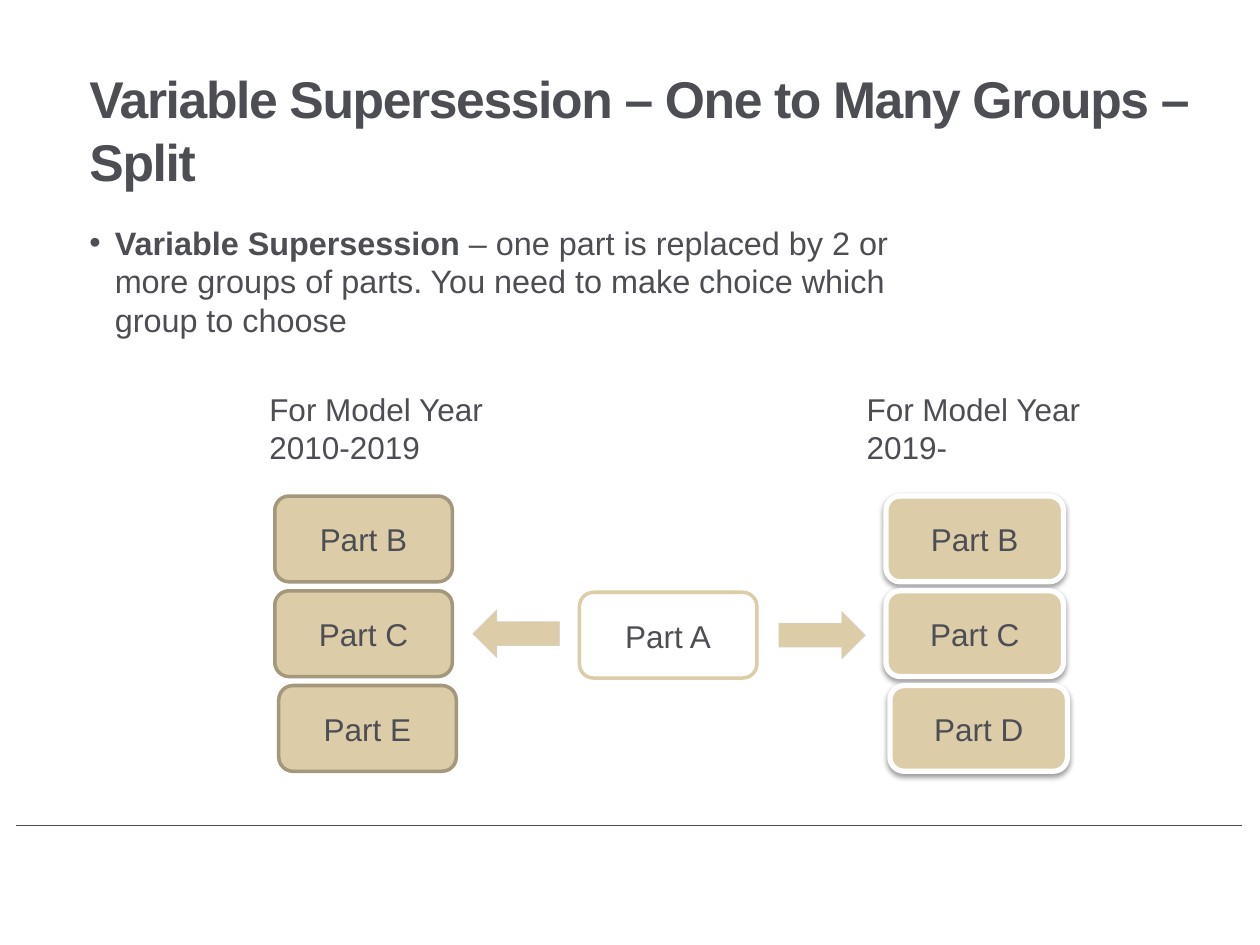
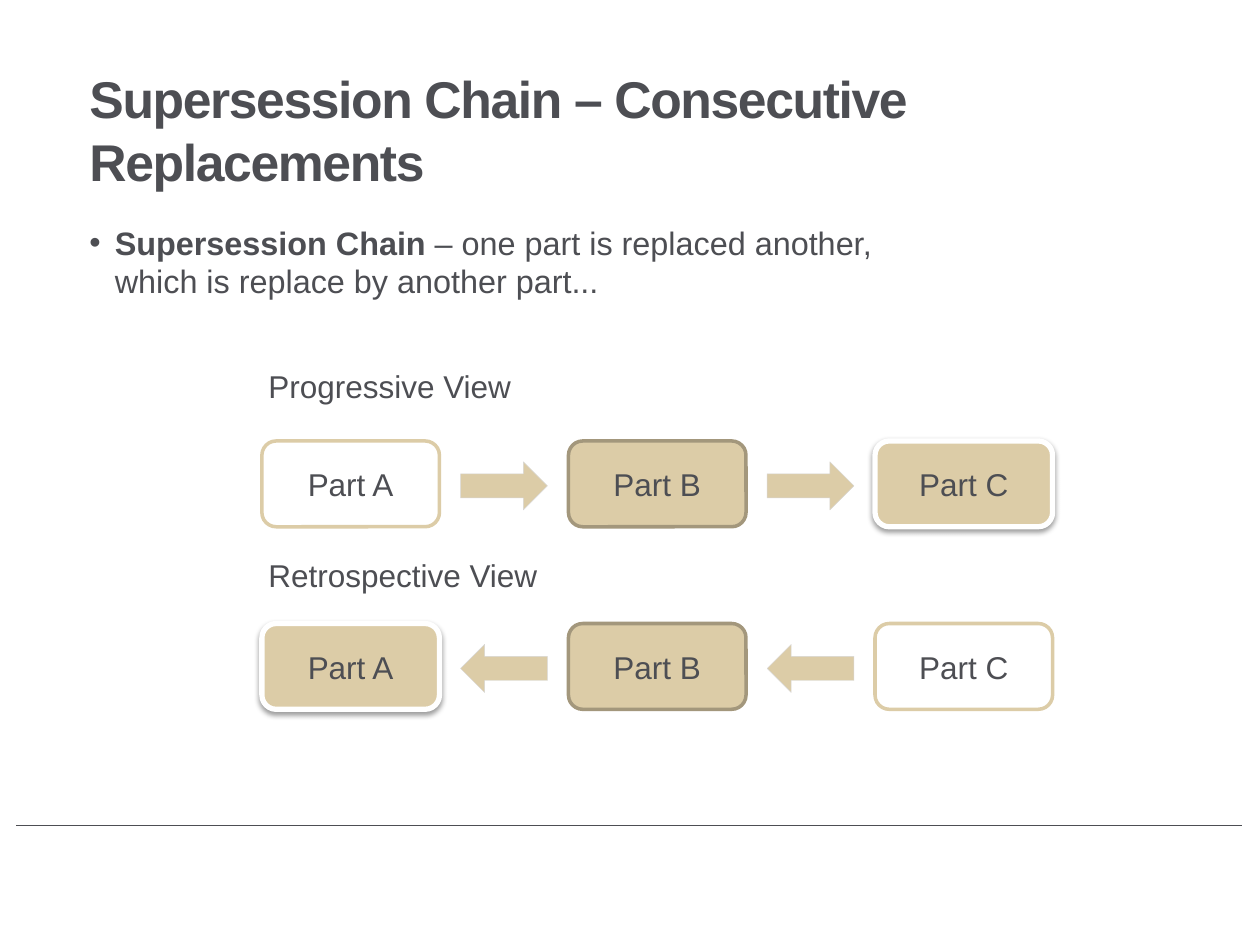
from lxml.etree import SubElement
from pptx import Presentation
from pptx.dml.color import RGBColor
from pptx.enum.shapes import MSO_CONNECTOR as Connector, MSO_SHAPE as Preset
from pptx.enum.text import MSO_ANCHOR as Anchor, MSO_AUTO_SIZE as AutoSize, PP_ALIGN as Align
from pptx.oxml.ns import qn
from pptx.util import Cm, Pt

INK, SAND, EDGE, WHITE, GREY = "4D4E53", "DCCCA7", "A3977C", "FFFFFF", "D8D7D5"
BOX_STYLES = {
    "start": {"fill": WHITE, "line": SAND, "weight": 2},
    "middle": {"fill": SAND, "line": EDGE, "weight": 2},
    "end": {"fill": SAND, "line": WHITE, "weight": 3, "shadow": True},
}
BOX_WIDTH, BOX_HEIGHT = 3.58, 1.73
ARROW_WIDTH, ARROW_HEIGHT = 1.75, 0.97

SPLIT = {
    "title": "Variable Supersession – One to Many Groups – Split",
    "term": "Variable Supersession ",
    "meaning": "– one part is replaced by 2 or more groups of parts. "
               "You need to make choice which group to choose",
    "source": "Part A",
    "groups": [
        {"years": ["For Model Year", "2010-2019"], "parts": ["Part B", "Part C", "Part E"],
         "style": "middle", "left": 5.54, "label_left": 5.18, "arrow": (9.53, 12.29, 180)},
        {"years": ["For Model Year", "2019-"], "parts": ["Part B", "Part C", "Part D"],
         "style": "end", "left": 17.86, "label_left": 17.22, "arrow": (15.7, 12.32, 0)},
    ],
}
CHAIN = {
    "title": "Supersession Chain – Consecutive Replacements",
    "term": "Supersession Chain ",
    "meaning": "– one part is replaced another, which is replace by another part...",
    "parts": ["Part A", "Part B", "Part C"],
    "views": [
        {"name": "Progressive View", "styles": ["start", "middle", "end"],
         "label_top": 7.26, "top": 8.89, "rotation": 0},
        {"name": "Retrospective View", "styles": ["end", "middle", "start"],
         "label_top": 11.07, "top": 12.57, "rotation": 180},
    ],
}


def color(value):
    return RGBColor.from_string(value)


def write(frame, paragraphs, size=18, leading=22, align=Align.LEFT, anchor=Anchor.TOP,
          wrap=True, before=0, spacing=None):
    """Fill a text frame with paragraphs, each a list of (text, bold) runs."""
    frame.auto_size = AutoSize.NONE
    frame.word_wrap = wrap
    frame.vertical_anchor = anchor
    for index, runs in enumerate(paragraphs):
        paragraph = frame.add_paragraph() if index else frame.paragraphs[0]
        paragraph.alignment = align
        paragraph.line_spacing = Pt(leading)
        paragraph.space_before = Pt(before)
        for text, bold in runs:
            run = paragraph.add_run()
            run.text = text
            run.font.name = "Arial"
            run.font.size = Pt(size)
            run.font.bold = bold
            run.font.color.rgb = color(INK)
            if spacing is not None:
                run.font._element.set("spc", str(round(spacing * 100)))


def place(shape, left, top, width, height):
    shape.left, shape.top, shape.width, shape.height = map(Cm, (left, top, width, height))


def add_bullet(paragraph):
    properties = paragraph._p.get_or_add_pPr()
    properties.set("marL", str(Cm(0.51)))
    properties.set("indent", str(Cm(-0.51)))
    SubElement(SubElement(properties, qn("a:buClr")), qn("a:srgbClr"), val=INK)
    SubElement(properties, qn("a:buFont"), typeface="Arial")
    SubElement(properties, qn("a:buChar"), char="•")


def add_shadow(shape):
    effects = shape._element.spPr.find(qn("a:effectLst"))
    shadow = SubElement(effects, qn("a:outerShdw"), blurRad=str(Pt(3.1)), dist=str(Pt(1.6)),
                        dir="5400000", rotWithShape="0")
    tint = SubElement(shadow, qn("a:srgbClr"), val="000000")
    SubElement(tint, qn("a:alpha"), val="38000")


def add_preset(slide, preset, area, fill, line, weight, shadow=False):
    shape = slide.shapes.add_shape(preset, *map(Cm, area))
    shape.shadow.inherit = False
    shape.fill.solid()
    shape.fill.fore_color.rgb = color(fill)
    shape.line.color.rgb = color(line)
    shape.line.width = Pt(weight)
    if shadow:
        add_shadow(shape)
    return shape


def add_part(slide, name, style, left, top):
    shape = add_preset(slide, Preset.ROUNDED_RECTANGLE, (left, top, BOX_WIDTH, BOX_HEIGHT),
                       **BOX_STYLES[style])
    write(shape.text_frame, [[(name, False)]], align=Align.CENTER, anchor=Anchor.MIDDLE)


def add_arrow(slide, left, top, rotation):
    arrow = add_preset(slide, Preset.RIGHT_ARROW, (left, top, ARROW_WIDTH, ARROW_HEIGHT),
                       SAND, GREY, 0.25)
    arrow.rotation = rotation


def add_label(slide, lines, left, top, width, height, wrap=True):
    label = slide.shapes.add_textbox(*map(Cm, (left, top, width, height)))
    write(label.text_frame, [[(line, False)] for line in lines], wrap=wrap)


def add_base(presentation, content):
    """Add a slide with the footer rule, the title and the definition."""
    slide = presentation.slides.add_slide(presentation.slide_layouts[1])
    rule = slide.shapes.add_connector(Connector.STRAIGHT, Cm(0.33), Cm(16.64), Cm(25.04), Cm(16.64))
    rule.line.color.rgb = color(INK)
    rule.line.width = Pt(1)
    SubElement(rule._element.spPr, qn("a:effectLst"))
    title, body = slide.shapes.title, slide.placeholders[1]
    place(title, 1.55, 1.12, 22.86, 3.18)
    title.text_frame.margin_top = Cm(0.2)
    write(title.text_frame, [[(content["title"], True)]], size=29.5, leading=36, spacing=-0.8)
    place(body, 1.55, 4.37, 17.02, 10.31)
    write(body.text_frame, [[(content["term"], True), (content["meaning"], False)]],
          size=18.5, before=12)
    add_bullet(body.text_frame.paragraphs[0])
    return slide


def build_split(presentation):
    slide = add_base(presentation, SPLIT)
    add_part(slide, SPLIT["source"], "start", 11.68, 11.94)
    for group in SPLIT["groups"]:
        add_arrow(slide, *group["arrow"])
        last = len(group["parts"]) - 1
        for row, name in enumerate(group["parts"]):
            shift = 0.08 if row == last else 0
            add_part(slide, name, group["style"], group["left"] + shift, 10 + 1.91 * row)
        add_label(slide, group["years"], group["label_left"], 7.72, 4.85, 1.8, wrap=False)


def build_chain(presentation):
    slide = add_base(presentation, CHAIN)
    first, step = 5.28, 6.18
    arrow_shift = (step + BOX_WIDTH - ARROW_WIDTH) / 2
    for view in CHAIN["views"]:
        add_label(slide, [view["name"]], 5.16, view["label_top"], 9.02, 1.02)
        for column, (name, style) in enumerate(zip(CHAIN["parts"], view["styles"])):
            left = first + step * column
            if column:
                add_arrow(slide, left - step + arrow_shift, view["top"] + 0.42, view["rotation"])
            add_part(slide, name, style, left, view["top"])


def main():
    presentation = Presentation()
    presentation.slide_width, presentation.slide_height = Cm(25.4), Cm(19.05)
    build_split(presentation)
    build_chain(presentation)
    presentation.save("out.pptx")


if __name__ == "__main__":
    main()
